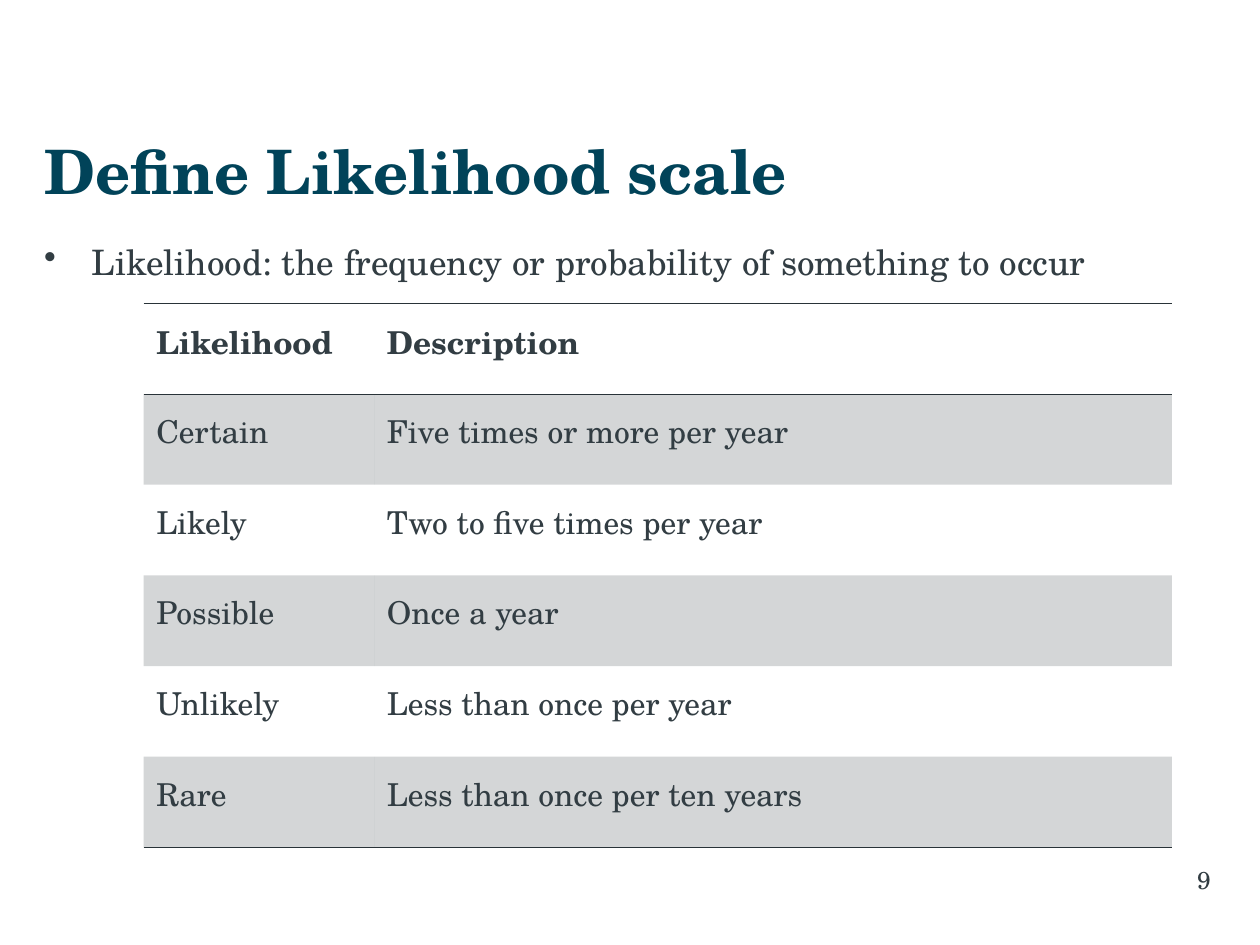
from lxml import etree
from pptx import Presentation
from pptx.dml.color import RGBColor
from pptx.enum import text
from pptx.oxml import ns
from pptx.util import Inches, Pt

COLORS = {"heading": "014359", "body": "323D43", "rule": "293338"}
FONT = "TeX Gyre Schola"
WIDTH, HEIGHT = Inches(10), Inches(7.5)
LEFT, SPAN = 0.035 * WIDTH, 0.929 * WIDTH
ROW = Inches(0.72)
COLUMNS = [Inches(1.83), Inches(6.33)]
LIKELIHOODS = [
    ("Likelihood", "Description"),
    ("Certain", "Five times or more per year"),
    ("Likely", "Two to five times per year"),
    ("Possible", "Once a year"),
    ("Unlikely", "Less than once per year"),
    ("Rare", "Less than once per ten years"),
]


def write(frame, words, size, color="body", bold=False, align=text.PP_ALIGN.LEFT,
          anchor=text.MSO_ANCHOR.TOP, left=0.1, right=0.1, top=0.05, bullet=None):
    frame.word_wrap = True
    frame.vertical_anchor = anchor
    frame.margin_left, frame.margin_right = Inches(left), Inches(right)
    frame.margin_top, frame.margin_bottom = Inches(top), Inches(0.05)
    line = frame.paragraphs[0]
    line.text = words
    line.alignment = align
    if bullet:
        properties = line._p.get_or_add_pPr()
        properties.set("marL", str(Inches(0.38)))
        properties.set("indent", str(-Inches(0.38)))
        etree.SubElement(properties, ns.qn("a:buChar"), char=bullet)
    font = line.runs[0].font
    font.name, font.size, font.bold = FONT, Pt(size), bold
    font.color.rgb = RGBColor.from_string(COLORS[color])


def set_border(cell, side, position, visible):
    border = etree.Element(ns.qn(f"a:ln{side}"), w=str(Pt(0.45) if visible else 0))
    if visible:
        paint = etree.SubElement(border, ns.qn("a:solidFill"))
        etree.SubElement(paint, ns.qn("a:srgbClr"), val=COLORS["rule"])
    else:
        etree.SubElement(border, ns.qn("a:noFill"))
    cell._tc.get_or_add_tcPr().insert(position, border)


deck = Presentation()
deck.slide_width, deck.slide_height = WIDTH, HEIGHT
slide = deck.slides.add_slide(deck.slide_layouts[5])

heading = slide.shapes.title
heading.left, heading.top = int(LEFT), int(0.132 * HEIGHT)
heading.width, heading.height = int(SPAN), int(0.095 * HEIGHT)
write(heading.text_frame, "Define Likelihood scale", 35, color="heading", bold=True,
      anchor=text.MSO_ANCHOR.MIDDLE, left=0)

definition = slide.shapes.add_textbox(int(LEFT), int(0.248 * HEIGHT), int(SPAN), int(0.66 * HEIGHT))
write(definition.text_frame, "Likelihood: the frequency or probability of something to occur",
      20, left=0, bullet="•")

scale = slide.shapes.add_table(len(LIKELIHOODS), len(COLUMNS), int(0.114 * WIDTH),
                               int(0.321 * HEIGHT), sum(COLUMNS), ROW * len(LIKELIHOODS)).table
scale.first_row = scale.horz_banding = False
for column, width in zip(scale.columns, COLUMNS):
    column.width = width

last = len(LIKELIHOODS) - 1
for r, entry in enumerate(LIKELIHOODS):
    for c, words in enumerate(entry):
        cell = scale.cell(r, c)
        write(cell.text_frame, words, 18, bold=r == 0)
        cell.margin_left = cell.margin_right = Inches(0.1)
        cell.margin_top, cell.margin_bottom = Inches(0.11), Inches(0.05)
        if r % 2:
            cell.fill.solid()
            cell.fill.fore_color.rgb = RGBColor.from_string(COLORS["rule"])
            tint = cell._tc.tcPr.find(".//" + ns.qn("a:srgbClr"))
            etree.SubElement(tint, ns.qn("a:alpha"), val="20000")
        else:
            cell.fill.background()
        ruled = {"T": r in (0, 1), "B": r in (0, last)}
        for position, side in enumerate("LRTB"):
            set_border(cell, side, position, ruled.get(side, False))

number = slide.shapes.add_textbox(int(0.728 * WIDTH), int(0.909 * HEIGHT),
                                  int(0.233 * WIDTH), int(0.069 * HEIGHT))
write(number.text_frame, "9", 14, align=text.PP_ALIGN.RIGHT, right=0)

deck.save("out.pptx")
